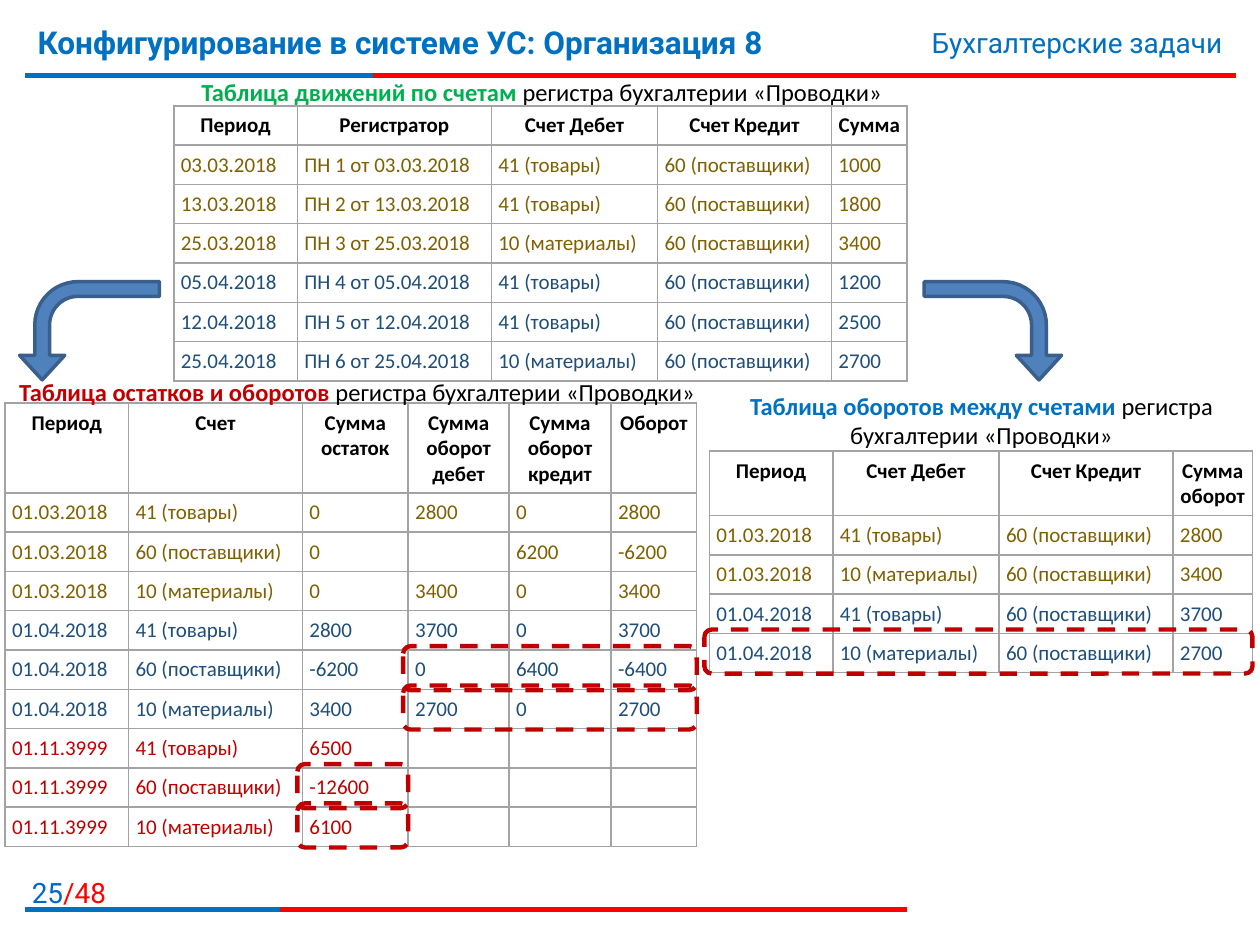
from lxml.etree import SubElement
from pptx import Presentation
from pptx.dml.color import RGBColor
from pptx.enum.dml import MSO_LINE
from pptx.enum.shapes import MSO_CONNECTOR, MSO_SHAPE
from pptx.enum.text import PP_ALIGN
from pptx.oxml.ns import qn
from pptx.util import Inches, Pt

WIDTH, HEIGHT = Inches(10), Inches(7.5)
UNIT = WIDTH // 100
ROW_HEIGHT = 3.12

BLUE = RGBColor(0x00, 0x70, 0xC0)
PAGE_BLUE = RGBColor(0x00, 0x66, 0xCC)
RED = RGBColor(0xFF, 0x00, 0x00)
DARK_RED = RGBColor(0xC0, 0x00, 0x00)
GREEN = RGBColor(0x00, 0xB0, 0x50)
BLACK = RGBColor(0x00, 0x00, 0x00)
ARROW_FILL = RGBColor(0x4F, 0x81, 0xBD)
ARROW_LINE = RGBColor(0x3A, 0x5F, 0x8C)
MONTH_COLORS = {
    "03": RGBColor(0x7F, 0x60, 0x00),
    "04": RGBColor(0x1E, 0x4E, 0x79),
    "11": DARK_RED,
}
BORDER = "A3A3A3"

GOODS, SUPPLIERS, MATERIALS = "41 (товары)", "60 (поставщики)", "10 (материалы)"
REGISTER = "регистра бухгалтерии «Проводки»"

MOVEMENTS = [("Период", "Регистратор", "Счет Дебет", "Счет Кредит", "Сумма")] + [
    (date, f"ПН {number} от {date}", debit, SUPPLIERS, amount)
    for number, (date, debit, amount) in enumerate([
        ("03.03.2018", GOODS, "1000"),
        ("13.03.2018", GOODS, "1800"),
        ("25.03.2018", MATERIALS, "3400"),
        ("05.04.2018", GOODS, "1200"),
        ("12.04.2018", GOODS, "2500"),
        ("25.04.2018", MATERIALS, "2700"),
    ], 1)
]
BALANCES = [
    ("Период", "Счет", "Сумма остаток", "Сумма оборот дебет", "Сумма оборот кредит", "Оборот"),
    ("01.03.2018", GOODS, "0", "2800", "0", "2800"),
    ("01.03.2018", SUPPLIERS, "0", "", "6200", "-6200"),
    ("01.03.2018", MATERIALS, "0", "3400", "0", "3400"),
    ("01.04.2018", GOODS, "2800", "3700", "0", "3700"),
    ("01.04.2018", SUPPLIERS, "-6200", "0", "6400", "-6400"),
    ("01.04.2018", MATERIALS, "3400", "2700", "0", "2700"),
    ("01.11.3999", GOODS, "6500", "", "", ""),
    ("01.11.3999", SUPPLIERS, "-12600", "", "", ""),
    ("01.11.3999", MATERIALS, "6100", "", "", ""),
]
TURNOVERS = [
    ("Период", "Счет Дебет", "Счет Кредит", "Сумма оборот"),
    ("01.03.2018", GOODS, SUPPLIERS, "2800"),
    ("01.03.2018", MATERIALS, SUPPLIERS, "3400"),
    ("01.04.2018", GOODS, SUPPLIERS, "3700"),
    ("01.04.2018", MATERIALS, SUPPLIERS, "2700"),
]


def units(*lengths):
    return [round(length * UNIT) for length in lengths]


def add_run(paragraph, text, font, size, color, bold=False):
    run = paragraph.add_run()
    run.text = text
    run.font.name = font
    run.font.size = Pt(size)
    run.font.color.rgb = color
    run.font.bold = bold


def add_text(slide, box, runs, font, size, alignment):
    frame = slide.shapes.add_textbox(*units(*box)).text_frame
    frame.word_wrap = True
    paragraph = frame.paragraphs[0]
    paragraph.alignment = alignment
    for text, color, bold in runs:
        add_run(paragraph, text, font, size, color, bold)


def add_caption(slide, box, name, color):
    runs = [(name + " ", color, True), (REGISTER, BLACK, False)]
    add_text(slide, box, runs, "Calibri", 14, PP_ALIGN.CENTER)


def add_rule(slide, top, blue_end, red_end):
    for end, color in ((red_end, RED), (blue_end, BLUE)):
        ends = units(2, top, end, top)
        line = slide.shapes.add_connector(MSO_CONNECTOR.STRAIGHT, *ends)
        line.line.color.rgb = color
        line.line.width = Pt(3)
        SubElement(line._element.spPr, qn("a:effectLst"))


def add_borders(cell):
    properties = cell._tc.get_or_add_tcPr()
    for index, side in enumerate(("lnL", "lnR", "lnT", "lnB")):
        border = SubElement(properties, qn(f"a:{side}"), w=str(Pt(1)))
        fill = SubElement(border, qn("a:solidFill"))
        SubElement(fill, qn("a:srgbClr"), val=BORDER)
        properties.insert(index, border)


def fill_cell(cell, text, color, header):
    cell.margin_left = cell.margin_right = Pt(4)
    cell.margin_top = cell.margin_bottom = Pt(4)
    cell.fill.background()
    add_borders(cell)
    paragraph = cell.text_frame.paragraphs[0]
    if header:
        paragraph.alignment = PP_ALIGN.CENTER
    if text:
        add_run(paragraph, text, "Calibri", 12, color, header)
    else:
        SubElement(paragraph._p, qn("a:endParaRPr"), sz="1200")


def add_table(slide, left, top, widths, header_height, records):
    heights = [header_height] + [ROW_HEIGHT] * (len(records) - 1)
    box = units(left, top, sum(widths), sum(heights))
    shape = slide.shapes.add_table(len(records), len(widths), *box)
    table = shape.table
    table.first_row = table.horz_banding = False
    for column, width in zip(table.columns, units(*widths)):
        column.width = width
    for row, height in zip(table.rows, units(*heights)):
        row.height = height
    for row_index, record in enumerate(records):
        header = row_index == 0
        color = BLACK if header else MONTH_COLORS[record[0].split(".")[1]]
        for column_index, text in enumerate(record):
            fill_cell(table.cell(row_index, column_index), text, color, header)
    return shape


def add_highlight(slide, table_shape, row, first, last):
    rows, columns = list(table_shape.table.rows), list(table_shape.table.columns)
    margin = round(0.4 * UNIT)
    left = table_shape.left + sum(column.width for column in columns[:first]) - margin
    top = table_shape.top + sum(item.height for item in rows[:row]) - round(0.3 * UNIT)
    width = sum(column.width for column in columns[first:last + 1]) + margin
    shape = slide.shapes.add_shape(
        MSO_SHAPE.ROUNDED_RECTANGLE, left, top, width, round(3.5 * UNIT))
    shape.shadow.inherit = False
    shape.fill.background()
    shape.line.color.rgb = DARK_RED
    shape.line.width = Pt(2.5)
    shape.line.dash_style = MSO_LINE.DASH


def add_bent_arrow(slide, box, flips):
    shape = slide.shapes.add_shape(MSO_SHAPE.BENT_ARROW, *units(*box))
    shape.shadow.inherit = False
    shape.rotation = 270
    for index, value in enumerate((0.15, 0.23, 0.25, 0.44)):
        shape.adjustments[index] = value
    for flip in flips:
        shape._element.spPr.find(qn("a:xfrm")).set(flip, "1")
    shape.fill.solid()
    shape.fill.fore_color.rgb = ARROW_FILL
    shape.line.color.rgb = ARROW_LINE
    shape.line.width = Pt(2)


def main():
    presentation = Presentation()
    presentation.slide_width, presentation.slide_height = WIDTH, HEIGHT
    slide = presentation.slides.add_slide(presentation.slide_layouts[6])

    add_rule(slide, 6, 29.6, 98.1)
    add_rule(slide, 72.2, 22.2, 72)
    add_text(slide, (0.5, 69, 8.9, 3.2), [("25", PAGE_BLUE, False), ("/48", RED, False)],
             "Roboto", 16, PP_ALIGN.RIGHT)
    add_text(slide, (2, 1.3, 74, 6.2),
             [("Конфигурирование в системе УС: Организация 8", BLUE, True)],
             "Roboto", 18, PP_ALIGN.LEFT)
    add_text(slide, (59.4, 1.5, 38.6, 3.7), [("Бухгалтерские задачи", BLUE, False)],
             "Roboto", 16, PP_ALIGN.RIGHT)

    turnovers = add_table(slide, 56.3, 35.8, (9.8, 13.2, 13.8, 6.3), 5.1, TURNOVERS)
    balances = add_table(slide, 0.4, 32, (9.8, 13.8, 8.4, 8, 8.1, 6.8), 7.1, BALANCES)
    add_table(slide, 13.8, 8.4, (9.8, 15.4, 13.2, 13.8, 6), ROW_HEIGHT, MOVEMENTS)

    add_caption(slide, (13.9, 5.6, 58.2, 3.4), "Таблица движений по счетам", GREEN)
    add_caption(slide, (0.4, 29.4, 55.9, 3.4), "Таблица остатков и оборотов", DARK_RED)
    add_caption(slide, (56.3, 30.5, 43.2, 5.8), "Таблица оборотов между счетами", BLUE)

    add_bent_arrow(slide, (3.2, 20.7, 7.8, 11.1), ("flipH",))
    for row, first, last in ((5, 3, 5), (6, 3, 5), (8, 2, 2), (9, 2, 2)):
        add_highlight(slide, balances, row, first, last)
    add_highlight(slide, turnovers, 4, 0, 3)
    add_bent_arrow(slide, (74.9, 20.8, 7.8, 10.9), ("flipH", "flipV"))

    presentation.save("out.pptx")


if __name__ == "__main__":
    main()
